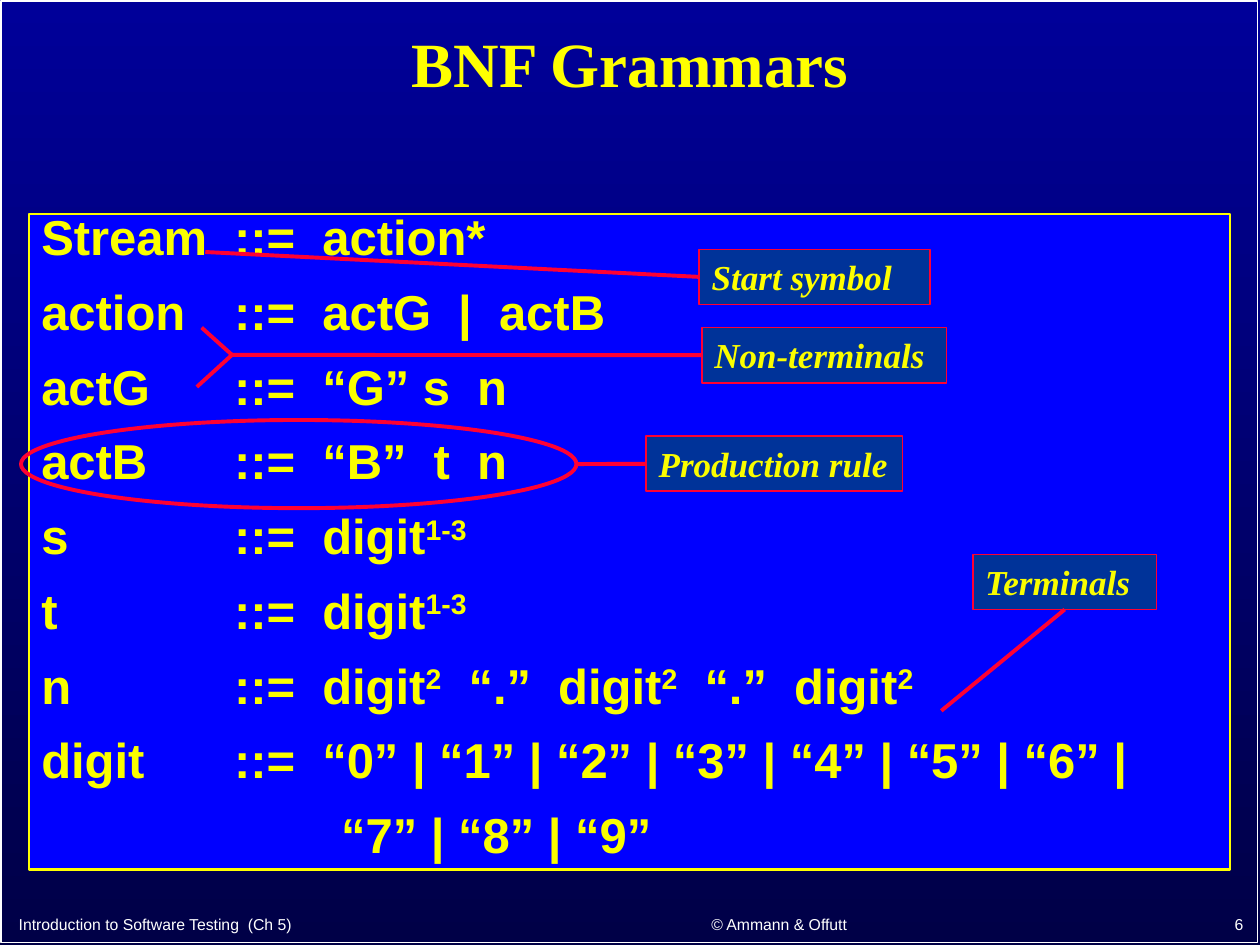
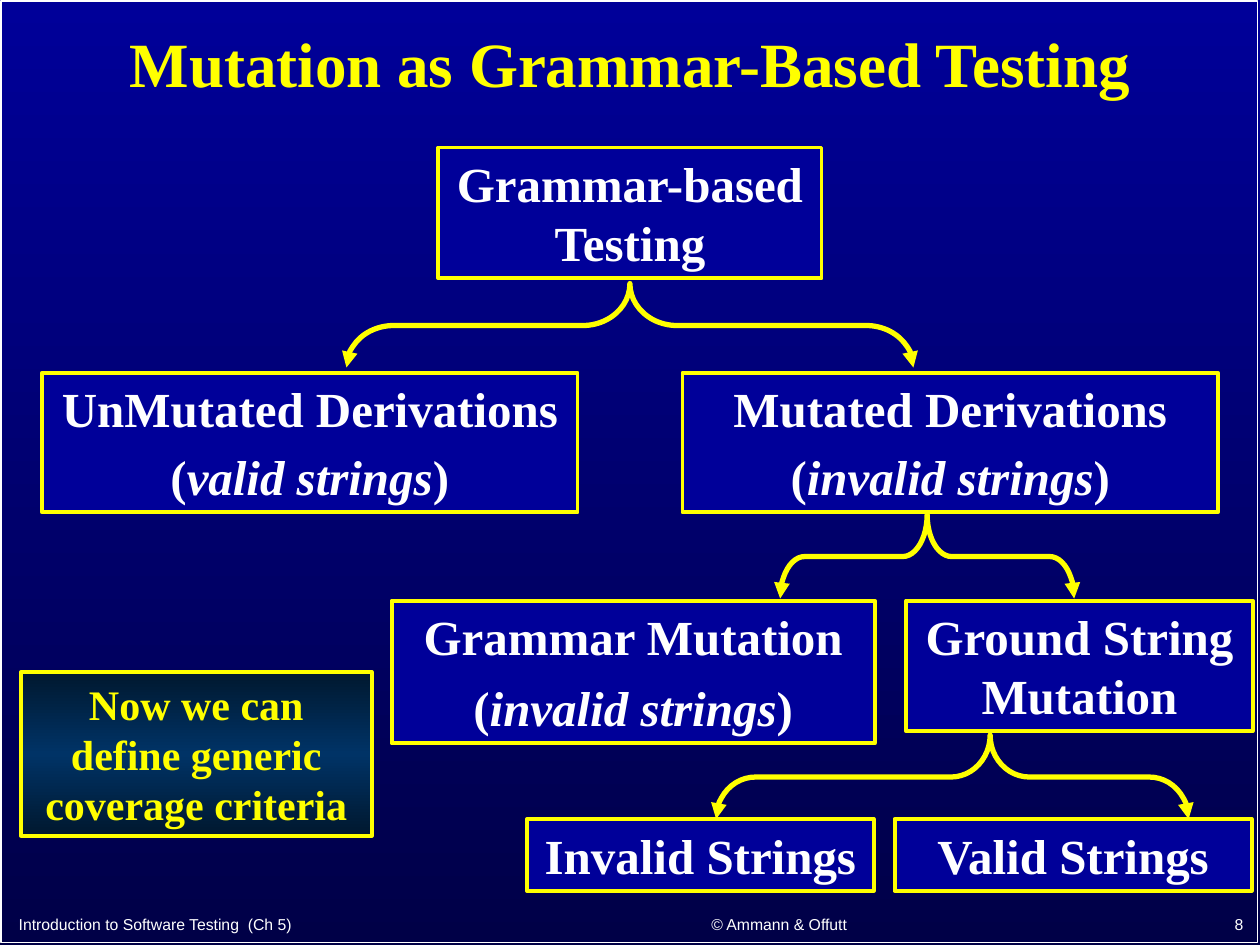
from copy import deepcopy

from lxml import etree
from pptx import Presentation
from pptx.dml.color import RGBColor
from pptx.enum.shapes import MSO_CONNECTOR, MSO_SHAPE
from pptx.enum.text import MSO_ANCHOR, PP_ALIGN
from pptx.oxml.ns import qn
from pptx.util import Inches, Pt

WIDTH, HEIGHT = Inches(10), Inches(7.5)
COLUMNS, ROWS = 120, 90
COLUMN, ROW = WIDTH / COLUMNS, HEIGHT / ROWS

NAVY = RGBColor(0x00, 0x00, 0x99)
MIDNIGHT = RGBColor(0x00, 0x00, 0x47)
BLUE = RGBColor(0x00, 0x00, 0xFF)
LABEL_BLUE = RGBColor(0x00, 0x33, 0x99)
NOTE_EDGE = RGBColor(0x00, 0x18, 0x2F)
NOTE_CENTRE = RGBColor(0x00, 0x33, 0x66)
YELLOW = RGBColor(0xFF, 0xFF, 0x00)
LEMON = RGBColor(0xFA, 0xFD, 0x00)
RED = RGBColor(0xFF, 0x00, 0x33)
WHITE = RGBColor(0xFF, 0xFF, 0xFF)

SERIF, SANS = "Times New Roman", "Arial"
LEFT, CENTER, RIGHT = PP_ALIGN.LEFT, PP_ALIGN.CENTER, PP_ALIGN.RIGHT
TOP, MIDDLE, BOTTOM = MSO_ANCHOR.TOP, MSO_ANCHOR.MIDDLE, MSO_ANCHOR.BOTTOM
RECTANGLE, OVAL, BRACE = MSO_SHAPE.RECTANGLE, MSO_SHAPE.OVAL, MSO_SHAPE.RIGHT_BRACE
STRAIGHT = MSO_CONNECTOR.STRAIGHT
LEFT_SIDE, BOTTOM_SIDE = 1, 2

MARK = "~"
RULE_COLUMN = Inches(1.53)
CONTINUATION_INDENT = Inches(2.38)
GRAMMAR_RULES = [
    "Stream\t::=  action*",
    "action\t::=  actG  |  actB",
    "actG\t::=  “G” s  n",
    "actB\t::=  “B”  t  n",
    "s\t::=  digit~1-3~",
    "t\t::=  digit~1-3~",
    "n\t::=  digit~2~  “.”  digit~2~  “.”  digit~2~",
    "digit\t::=  “0” | “1” | “2” | “3” | “4” | “5” | “6” |",
    "“7” | “8” | “9”",
]


def on_grid(column, row, columns, rows):
    return [round(n) for n in (column * COLUMN, row * ROW, columns * COLUMN, rows * ROW)]


def paint_gradient(fill, colours):
    fill.gradient()
    fill.gradient_angle = 270
    stops = fill.gradient_stops
    if len(colours) > len(stops):
        last = fill._xPr.find(".//" + qn("a:gsLst"))[-1]
        last.addnext(deepcopy(last))
        stops = fill.gradient_stops
    for i, (stop, colour) in enumerate(zip(stops, colours)):
        stop.position = i / (len(colours) - 1)
        stop.color.rgb = colour


def write(frame, text, size, colour, font=SERIF, bold=False, italic=False, align=LEFT,
          anchor=TOP, space_before=0, line_spacing=None, superscript=False, tab=None):
    frame.word_wrap = True
    frame.vertical_anchor = anchor
    for i, line in enumerate(text.split("\n")):
        paragraph = frame.add_paragraph() if i else frame.paragraphs[0]
        if tab:
            tabs = etree.SubElement(paragraph._p.get_or_add_pPr(), qn("a:tabLst"))
            etree.SubElement(tabs, qn("a:tab"), pos=str(tab), algn="l")
        paragraph.alignment = align
        paragraph.space_before = Pt(space_before if i else 0)
        if line_spacing:
            paragraph.line_spacing = line_spacing
        for j, piece in enumerate(line.split(MARK)):
            if not piece:
                continue
            marked = j % 2 == 1
            run = paragraph.add_run()
            run.text = piece
            run.font.name = font
            run.font.size = Pt(size)
            run.font.bold = bold
            run.font.italic = italic or (marked and not superscript)
            run.font.color.rgb = colour
            if marked and superscript:
                run._r.get_or_add_rPr().set("baseline", "30000")


def add_outline(slide, kind, place, line, width, fill=None):
    shape = slide.shapes.add_shape(kind, *on_grid(*place))
    shape.shadow.inherit = False
    if fill is None:
        shape.fill.background()
    else:
        shape.fill.solid()
        shape.fill.fore_color.rgb = fill
    shape.line.color.rgb = line
    shape.line.width = Pt(width)
    return shape


def add_words(slide, place, text, **style):
    write(slide.shapes.add_textbox(*on_grid(*place)).text_frame, text, **style)


def add_label(slide, place, text, colour=LEMON):
    label = add_outline(slide, RECTANGLE, place, RED, 1, LABEL_BLUE)
    write(label.text_frame, text, 20, colour, bold=True, italic=True)
    return label


def add_pointer(slide, start, end=None, label=None, side=LEFT_SIDE):
    ends = on_grid(*start, *(end or start))
    pointer = slide.shapes.add_connector(STRAIGHT, *ends)
    if label is not None:
        pointer.end_connect(label, side)
    pointer.line.color.rgb = RED
    pointer.line.width = Pt(2.25)
    etree.SubElement(pointer._element.spPr, qn("a:effectLst"))


def add_node(slide, place, text, space_before=0):
    node = add_outline(slide, RECTANGLE, place, YELLOW, 2.25, NAVY)
    write(node.text_frame, text, 28, WHITE, bold=True, align=CENTER,
          space_before=space_before)


def add_branch(slide, column, row, span, tip=0.5, depth=8):
    place = (column + (span - depth) / 2, row + (depth - span) / 2, depth, span)
    branch = add_outline(slide, BRACE, place, YELLOW, 3)
    branch.rotation = 270
    branch.adjustments[0] = span / 12 / depth
    branch.adjustments[1] = tip
    outline = branch.line._get_or_add_ln()
    for end in ("a:headEnd", "a:tailEnd"):
        etree.SubElement(outline, qn(end), type="triangle")


def add_base(deck, title, number):
    slide = deck.slides.add_slide(deck.slide_layouts[6])
    paint_gradient(slide.background.fill, [NAVY, MIDNIGHT])
    add_outline(slide, RECTANGLE, (0.12, 0.12, 119.64, 89.64), WHITE, 1)
    footers = [
        (0.6, 52.2, "Introduction to Software Testing  (Ch 5)", LEFT),
        (55.2, 38, "© Ammann & Offutt", CENTER),
        (94.6, 25, number, RIGHT),
    ]
    for column, columns, text, align in footers:
        add_words(slide, (column, 86.15, columns, 3.4), text, size=9, colour=WHITE,
                  font=SANS, align=align, anchor=BOTTOM)
    add_words(slide, (2, 1.3, 116, 10.1), title, size=36, colour=YELLOW, bold=True,
              align=CENTER, anchor=MIDDLE, line_spacing=0.9)
    return slide


def build_grammar(deck):
    slide = add_base(deck, "BNF Grammars", "6")
    grammar = add_outline(slide, RECTANGLE, (2.75, 20.4, 114.4, 62.4), YELLOW, 1.5, BLUE)
    write(grammar.text_frame, "\n".join(GRAMMAR_RULES), 28, LEMON, font=SANS, bold=True,
          space_before=17.5, line_spacing=0.75, superscript=True, tab=RULE_COLUMN)
    continuation = grammar.text_frame.paragraphs[-1]._p.get_or_add_pPr()
    continuation.set("marL", str(CONTINUATION_INDENT))
    continuation.set("indent", "0")

    non_terminals = add_label(slide, (66.85, 31.2, 23.3, 5.25), "Non-terminals")
    fork = (22.1, 33.8)
    add_pointer(slide, fork, label=non_terminals)
    for symbol in ((19.2, 31.2), (18.75, 36.85)):
        add_pointer(slide, fork, symbol)

    terminals = add_label(slide, (92.65, 52.8, 17.5, 5.25), "Terminals")
    add_pointer(slide, (89.65, 67.7), label=terminals, side=BOTTOM_SIDE)

    production = add_label(slide, (61.55, 41.55, 24.4, 5.25), "Production rule")
    add_outline(slide, OVAL, (2, 40, 52.9, 8.4), RED, 2.25)
    add_pointer(slide, (54.9, 44.2), label=production)

    start = add_label(slide, (66.6, 23.75, 22, 5.25), "Start symbol", YELLOW)
    add_pointer(slide, (19.55, 24), label=start)


def build_mutation(deck):
    slide = add_base(deck, "Mutation as Grammar-Based Testing", "8")
    add_node(slide, (41.75, 14.05, 36.5, 12.45), "Grammar-based Testing")

    add_branch(slide, 33, 27, 54)
    derivations = ["UnMutated Derivations\n(~valid strings~)",
                   "Mutated Derivations\n(~invalid strings~)"]
    for i, text in enumerate(derivations):
        add_node(slide, (4 + 61 * i, 35.5, 51, 13.3), text, space_before=5.2)

    add_branch(slide, 74.3, 49, 28)
    add_node(slide, (37.3, 57.2, 46, 13.6), "Grammar Mutation\n(~invalid strings~)",
             space_before=7)
    add_node(slide, (86.3, 57.2, 33, 12.45), "Ground String Mutation")

    add_branch(slide, 68.2, 70, 45, tip=0.58)
    add_node(slide, (50.2, 78, 33, 6.85), "Invalid Strings")
    add_node(slide, (85.2, 78, 34, 6.85), "Valid Strings")

    note = add_outline(slide, RECTANGLE, (2, 64, 33.4, 15.6), YELLOW, 2.25)
    paint_gradient(note.fill, [NOTE_EDGE, NOTE_CENTRE, NOTE_EDGE])
    write(note.text_frame, "Now we can define generic coverage criteria", 24, YELLOW,
          bold=True, align=CENTER)


def main():
    deck = Presentation()
    deck.slide_width, deck.slide_height = WIDTH, HEIGHT
    build_grammar(deck)
    build_mutation(deck)
    deck.save("out.pptx")


if __name__ == "__main__":
    main()
